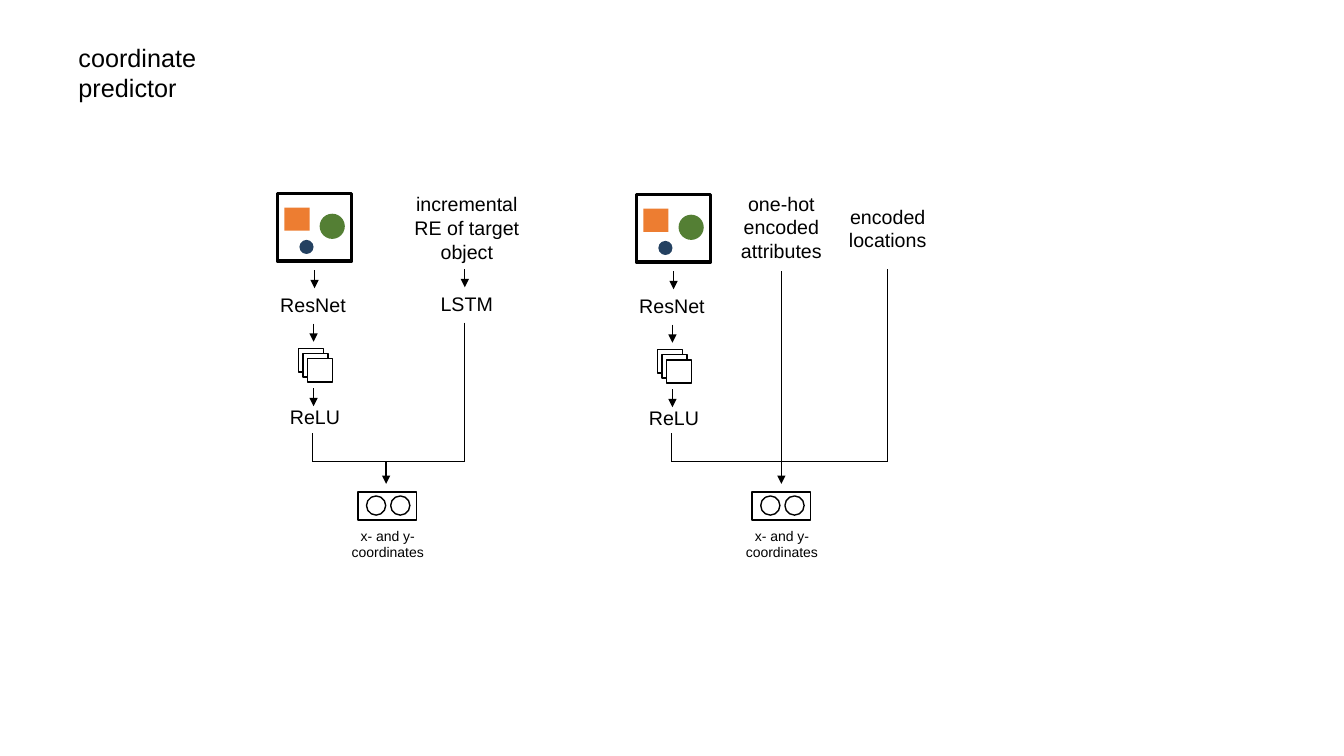
import pptx
import pptx.util
import pptx.dml.color
import pptx.enum.shapes
import pptx.enum.text
import pptx.oxml
import pptx.oxml.ns

BLACK = pptx.dml.color.RGBColor(0x00, 0x00, 0x00)
WHITE = pptx.dml.color.RGBColor(0xFF, 0xFF, 0xFF)
ORANGE = pptx.dml.color.RGBColor(0xED, 0x7D, 0x31)
GREEN = pptx.dml.color.RGBColor(0x54, 0x7F, 0x34)
NAVY = pptx.dml.color.RGBColor(0x24, 0x41, 0x61)
RECT = pptx.enum.shapes.MSO_SHAPE.RECTANGLE
OVAL = pptx.enum.shapes.MSO_SHAPE.OVAL
CENTER = pptx.enum.text.PP_ALIGN.CENTER
LEFT = pptx.enum.text.PP_ALIGN.LEFT

deck = pptx.Presentation()
deck.slide_width = pptx.util.Inches(13.33)
deck.slide_height = pptx.util.Inches(7.5)
page = deck.slides.add_slide(deck.slide_layouts[6])
COL = deck.slide_width / 133.3
ROW = deck.slide_height / 75


def grid(left, top, width, height):
    """Turn columns and rows into slide lengths."""
    return int(left * COL), int(top * ROW), int(width * COL), int(height * ROW)


def add_figure(kind, cells, fill=None, line=None):
    """Add a preset shape; line is a width in points, None leaves a part out."""
    figure = page.shapes.add_shape(kind, *grid(*cells))
    figure.shadow.inherit = False
    if fill is None:
        figure.fill.background()
    else:
        figure.fill.solid()
        figure.fill.fore_color.rgb = fill
    if line is None:
        figure.line.fill.background()
    else:
        figure.line.color.rgb = BLACK
        figure.line.width = pptx.util.Pt(line)


# Labels: text, cells, size, alignment
labels = [
    ("coordinate predictor", (6.8, 3.7, 23.5, 6.5), 18, LEFT),
    ("incremental RE of target object", (39.2, 18.6, 14.2, 8), 14, CENTER),
    ("LSTM", (40.3, 28.5, 12, 3.3), 14, CENTER),
    ("one-hot encoded attributes", (70.4, 18.5, 14.2, 8), 14, CENTER),
    ("encoded locations", (80.9, 19.8, 14.3, 5.7), 14, CENTER),
]
# Lines: from column, from row, to column, to row, arrowhead
lines = [
    (46.1, 26.7, 46.1, 28.5, True),
    (46.1, 32, 46.1, 45.8, False),
    (38.3, 45.8, 38.3, 48, True),
    (77.5, 26.9, 77.5, 48, True),
    (88, 26.7, 88, 45.8, False),
]

# Each predictor: left of the scene, top of the scene, output box, last input
for left, top, output, last_input in [(27.5, 19.2, 35.5, 46.1), (63.1, 19.3, 74.6, 88)]:
    trunk = left + 3.6

    add_figure(RECT, (left, top, 7.4, 6.7), line=2.25)
    add_figure(RECT, (left + 0.7, top + 1.4, 2.5, 2.3), ORANGE)
    add_figure(OVAL, (left + 4.2, top + 2, 2.5, 2.5), GREEN)
    add_figure(OVAL, (left + 2.2, top + 4.6, 1.4, 1.4), NAVY)

    for layer in range(3):
        add_figure(RECT, (left + 2.1 + 0.45 * layer, top + 15.4 + 0.5 * layer, 2.5, 2.3), WHITE, 1)

    add_figure(RECT, (output, 48.8, 5.8, 2.8), line=1)
    for circle in range(2):
        add_figure(OVAL, (output + 0.85 + 2.4 * circle, 49.2, 1.9, 1.9), line=1)

    labels += [
        ("ResNet", (trunk - 5.7, top + 9.4, 11.3, 3.3), 14, CENTER),
        ("ReLU", (trunk - 5.5, top + 20.5, 11.3, 3.3), 14, CENTER),
        ("x- and y-coordinates", (output - 3.1, 51.8, 12.1, 4.3), 10, CENTER),
    ]
    for column, drop in [(trunk + 0.1, 7.6), (trunk, 12.9), (trunk, 19.3)]:
        lines.append((column, top + drop, column, top + drop + 1.8, True))
    lines += [
        (trunk - 0.1, 43, trunk - 0.1, 45.8, False),
        (trunk - 0.1, 45.8, last_input, 45.8, False),
    ]

for text, cells, size, align in labels:
    box = page.shapes.add_textbox(*grid(*cells))
    box.text_frame.word_wrap = True
    para = box.text_frame.paragraphs[0]
    para.text = text
    para.alignment = align
    para.font.name = "Arial"
    para.font.size = pptx.util.Pt(size)
    para.font.color.rgb = BLACK

for from_col, from_row, to_col, to_row, arrowhead in lines:
    connector = page.shapes.add_connector(
        pptx.enum.shapes.MSO_CONNECTOR.STRAIGHT, *grid(from_col, from_row, to_col, to_row))
    connector.line.color.rgb = BLACK
    connector.line.width = pptx.util.Pt(1)
    if arrowhead:
        tail = pptx.oxml.parse_xml(f'<a:tailEnd {pptx.oxml.ns.nsdecls("a")} type="triangle"/>')
        connector.line._get_or_add_ln().append(tail)
    effects = pptx.oxml.parse_xml(f'<a:effectLst {pptx.oxml.ns.nsdecls("a")}/>')
    connector._element.spPr.append(effects)

deck.save("out.pptx")
